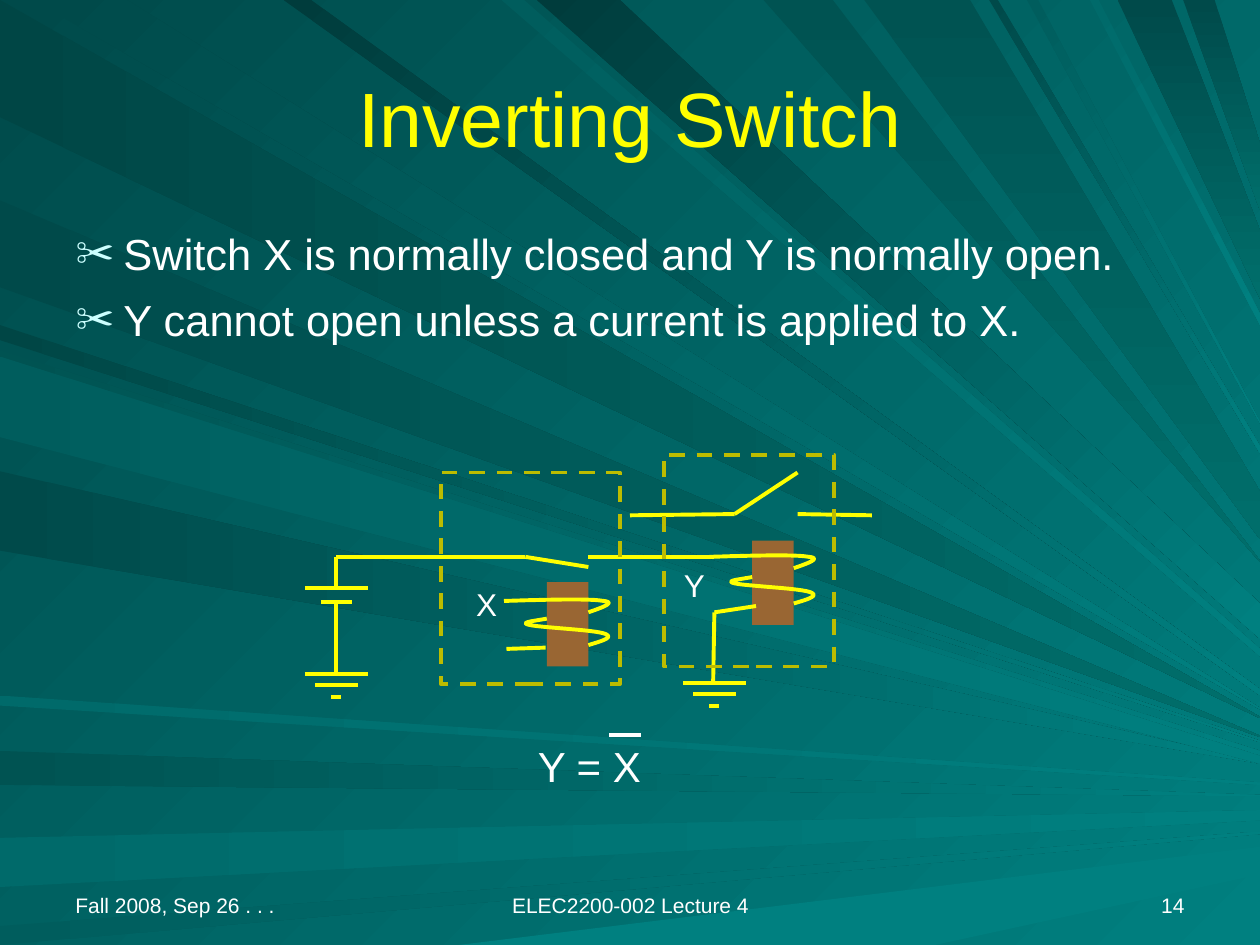
import pptx
import pptx.util
import pptx.dml.color
import pptx.enum.dml
import pptx.enum.shapes
import pptx.enum.text
from lxml import etree
from pptx.util import Inches

COLORS = {
    "wire": "FFFF00", "text": "FFFFFF", "mark": "CCFFFF", "core": "996633",
    "box": "BCBC00", "teal": "008080", "sea": "006E6B", "back": "004A4A",
    "night": "003C3C", "dark": "004645", "dusk": "005352", "mid": "005D5D",
    "pale": "006A6A",
}

# Rays by the edge they start from: start and end on that edge,
# top and bottom on the right edge, first and last colour
RAYS = {
    "left": [
        (0, .93, 5.69, 5.7, "dark", "sea"),
        (5.96, 6.23, 6.31, 6.32, "dusk", "teal"),
        (6.65, 7.04, 6.43, 6.51, "pale", "teal"),
        (7.35, 7.5, 6.6, 6.62, "mid", "teal"),
        (2.58, 2.7, 5.88, 5.89, "dark", "teal"),
        (1.59, 2.28, 5.84, 5.85, "back", "sea"),
        (2.78, 3.42, 5.96, 6.02, "dusk", "teal"),
        (3.74, 4.37, 6.05, 6.06, "back", "teal"),
        (5.52, 5.6, 6.21, 6.23, "pale", "teal"),
        (2.83, 3.47, 6, 6.06, "mid", "teal"),
    ],
    "top": [
        (.26, 1.01, 5.62, 5.63, "back", "teal"),
        (3.98, 4.16, 5.15, 5.21, "mid", "teal"),
        (4.26, 4.92, 4.79, 5.07, "night", "teal"),
        (6.06, 6.61, 4.45, 4.46, "dusk", "sea"),
        (8.87, 9.3, 1.83, 2.37, "back", "sea"),
        (9.39, 9.64, 1.14, 1.67, "back", "sea"),
        (2.25, 2.47, 5.47, 5.52, "night", "teal"),
        (6.86, 7.7, 3.9, 4.28, "dusk", "sea"),
        (7.85, 7.92, 3.54, 3.6, "back", "teal"),
        (8.15, 8.24, 3.35, 3.36, "mid", "teal"),
        (8.65, 8.72, 2.49, 2.58, "pale", "teal"),
    ],
    "bottom": [(3.64, 7.42, 6.72, 6.94, "teal", "teal")],
}
ENTRY = {"left": lambda a, b: [(0, b), (0, a)],
         "top": lambda a, b: [(a, 0), (b, 0)],
         "bottom": lambda a, b: [(b, 7.5), (a, 7.5)]}

TITLE = "Inverting Switch"
POINTS = ["Switch X is normally closed and Y is normally open.",
          "Y cannot open unless a current is applied to X."]
# Text, left, top, width, height, size
LABELS = [("X", 3.68, 4.59, .36, .4, 18), ("Y", 5.33, 4.44, .36, .4, 18),
          ("Y = X", 4.17, 5.83, 1.02, .5, 24)]
FOOTERS = [("Fall 2008, Sep 26 . . .", .5, 2.33, "LEFT"),
           ("ELEC2200-002 Lecture 4", 3.42, 3.17, "CENTER"),
           ("14", 7.17, 2.33, "RIGHT")]

# Chains of wire, corner by corner
CHAINS = [
    [(2.67, 4.67), (2.67, 4.42), (4.17, 4.42), (4.67, 4.5)],
    [(4.67, 4.42), (5.67, 4.42)],
    [(5, 4.09), (5.83, 4.08), (6.33, 3.75)],
    [(6.33, 4.08), (6.92, 4.09)],
    [(2.67, 4.79), (2.67, 5.35)],
    [(4.33, 5.14), (4.02, 5.15)],
    [(6, 4.81), (5.67, 4.86), (5.66, 5.42)],
]
# Level bars: middle, top, width
CELL = [(2.67, 4.67, .5), (2.67, 4.78, .25)]
GROUNDS = [(2.67, 5.35), (5.67, 5.42)]
WIDTHS = [.5, .34, .08]
STEP = .09
FRAMES = [(5.27, 3.61, 1.35, 1.68), (3.5, 3.75, 1.42, 1.68)]
# Core corner and drop of the first turn
COILS = [(4.34, 4.62, .15), (5.97, 4.29, .13)]
CORE = (.33, .67)
UPPER = [(-.34, 0), (0, -.01), (.34, -.02), (.45, 0), (.55, .01), (.45, .05), (.33, .09)]
LOWER = [(0, .29), (-.11, .31), (-.22, .32), (-.14, .34), (-.06, .36),
         (.39, .38), (.46, .41), (.54, .44), (.43, .47), (.33, .5)]


def tint(name):
    return pptx.dml.color.RGBColor.from_string(COLORS[name])


def shade(fill, first, last, angle=0):
    if first == last:
        fill.solid()
        fill.fore_color.rgb = tint(first)
        return
    fill.gradient()
    fill.gradient_angle = (360 - angle) % 360
    for stop, name in zip(fill.gradient_stops, (first, last)):
        stop.color.rgb = tint(name)


def stroke(line, name):
    line.color.rgb = tint(name)
    line.width = pptx.util.Pt(2.25)


def trace(shapes, points, close):
    dots = [(Inches(x), Inches(y)) for x, y in points]
    pen = shapes.build_freeform(*dots[0])
    pen.add_line_segments(dots[1:], close=close)
    shape = pen.convert_to_shape()
    shape.shadow.inherit = False
    return shape


def wire(start, end, name="wire"):
    line = slide.shapes.add_connector(pptx.enum.shapes.MSO_CONNECTOR.STRAIGHT,
                                      *map(Inches, (*start, *end)))
    stroke(line.line, name)
    etree.SubElement(line._element.spPr, pptx.oxml.ns.qn("a:effectLst"))


def level(mid, top, width, name="wire"):
    wire((mid - width / 2, top), (mid + width / 2, top), name)


def block(*place):
    shape = slide.shapes.add_shape(pptx.enum.shapes.MSO_SHAPE.RECTANGLE,
                                   *map(Inches, place))
    shape.shadow.inherit = False
    return shape


def curve(points, steps=12):
    """Points along a chain of cubic Bezier curves."""
    track = [points[0]]
    for i in range(0, len(points) - 1, 3):
        for t in (n / steps for n in range(1, steps + 1)):
            mix = ((1 - t) ** 3, 3 * t * (1 - t) ** 2, 3 * t * t * (1 - t), t ** 3)
            track.append(tuple(sum(m * p[axis] for m, p in zip(mix, points[i:i + 4]))
                               for axis in (0, 1)))
    return track


def style(para, size, name="text", align="LEFT"):
    para.alignment = getattr(pptx.enum.text.PP_ALIGN, align)
    para.font.name, para.font.size = "Arial", pptx.util.Pt(size)
    para.font.color.rgb = tint(name)


def label(text, place, size, align="LEFT", wrap=False, anchor="TOP"):
    frame = slide.shapes.add_textbox(*map(Inches, place)).text_frame
    frame.word_wrap = wrap
    frame.vertical_anchor = getattr(pptx.enum.text.MSO_ANCHOR, anchor)
    frame.text = text
    style(frame.paragraphs[0], size, align=align)


def fit(holder, place, anchor):
    holder.left, holder.top, holder.width, holder.height = map(Inches, place)
    frame = holder.text_frame
    frame.auto_size = pptx.enum.text.MSO_AUTO_SIZE.NONE
    frame.vertical_anchor = getattr(pptx.enum.text.MSO_ANCHOR, anchor)
    return frame


deck = pptx.Presentation()
deck.slide_width, deck.slide_height = Inches(10), Inches(7.5)
slide = deck.slides.add_slide(deck.slide_layouts[1])

# Background, with the rays behind everything
shade(slide.background.fill, "back", "teal", 45)
fan = slide.shapes.add_group_shape()
for edge, rays in RAYS.items():
    for start, end, high, low, first, last in rays:
        ray = trace(fan.shapes, ENTRY[edge](start, end) + [(10, high), (10, low)], True)
        angle = 0 if edge == "left" else 90 if last == "sea" else 45
        shade(ray.fill, first, last, angle)
        ray.line.fill.background()
slide.shapes._spTree.insert(2, fan._element)

# Title and list
frame = fit(slide.shapes.title, (.5, .3, 9, 1.25), "MIDDLE")
frame.text = TITLE
style(frame.paragraphs[0], 44, "wire", "CENTER")
frame = fit(slide.placeholders[1], (.5, 1.75, 9, 1.42), "TOP")
frame.text = "\n".join(POINTS)
for i, para in enumerate(frame.paragraphs):
    props = para._p.get_or_add_pPr()
    props.set("marL", str(Inches(.38)))
    props.set("indent", str(-Inches(.38)))
    para.space_before = pptx.util.Pt(8 if i else 0)
    color = etree.SubElement(props, pptx.oxml.ns.qn("a:buClr"))
    etree.SubElement(color, pptx.oxml.ns.qn("a:srgbClr"), val=COLORS["mark"])
    etree.SubElement(props, pptx.oxml.ns.qn("a:buSzPct"), val="90000")
    etree.SubElement(props, pptx.oxml.ns.qn("a:buChar"), char="✂")
    style(para, 24.8)

# Coils on their cores
for left, top, drop in COILS:
    core = block(left, top, *CORE)
    shade(core.fill, "core", "core")
    core.line.fill.background()
    for turn, down in ((UPPER, drop), (LOWER, 0)):
        coil = trace(slide.shapes, curve([(left + x, top + down + y) for x, y in turn]), False)
        coil.fill.background()
        stroke(coil.line, "wire")

# Wires, cell, grounds and switch frames
for chain in CHAINS:
    for start, end in zip(chain, chain[1:]):
        wire(start, end)
for bar in CELL:
    level(*bar)
for mid, top in GROUNDS:
    for i, width in enumerate(WIDTHS):
        level(mid, top + i * STEP, width)
for place in FRAMES:
    box = block(*place)
    box.fill.background()
    stroke(box.line, "box")
    box.line.dash_style = pptx.enum.dml.MSO_LINE.DASH

# Labels, the bar over X, and footers
for text, *place, size in LABELS:
    label(text, place, size)
level(4.96, 5.83, .25, "text")
for text, left, width, align in FOOTERS:
    label(text, (left, 6.83, width, .5), 12, align, True, "BOTTOM")

deck.save("out.pptx")
